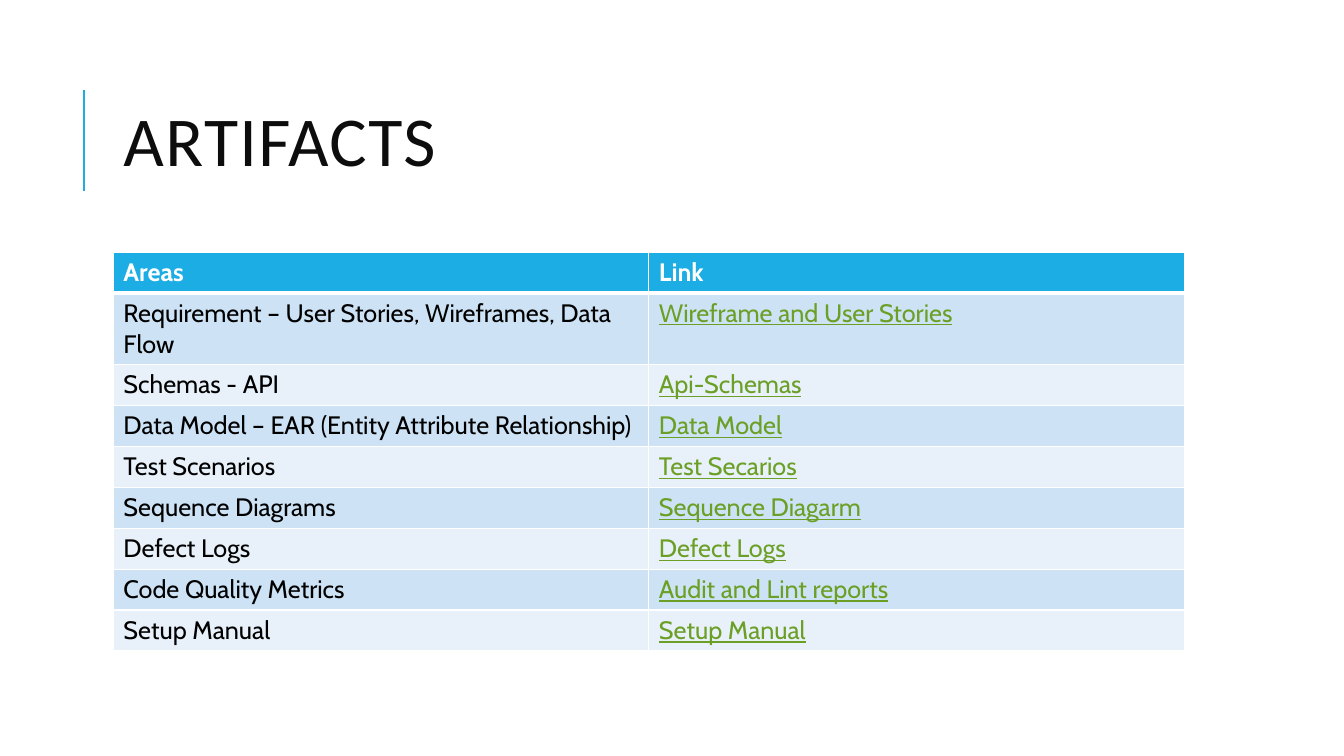
from lxml.etree import SubElement
from pptx import Presentation
from pptx.dml.color import RGBColor
from pptx.enum.shapes import MSO_CONNECTOR as Connector
from pptx.enum.text import MSO_ANCHOR as Anchor, MSO_AUTO_SIZE as AutoSize, PP_ALIGN as Align
from pptx.oxml.ns import qn
from pptx.util import Pt

PX = 9525  # EMU in one px, 96 px to the inch
COLORS = {
    "accent": "1CADE4", "title": "0D0D0D", "text": "000000", "link": "6B9F25",
    "white": "FFFFFF", "band_dark": "CDE3F5", "band_light": "E8F1FA",
}
HEADINGS = ("Areas", "Link")
ARTIFACTS = [
    ("Requirement – User Stories, Wireframes, Data Flow", "Wireframe and User Stories"),
    ("Schemas - API", "Api-Schemas"),
    ("Data Model – EAR (Entity Attribute Relationship)", "Data Model"),
    ("Test Scenarios", "Test Secarios"),
    ("Sequence Diagrams", "Sequence Diagarm"),
    ("Defect Logs", "Defect Logs"),
    ("Code Quality Metrics", "Audit and Lint reports"),
    ("Setup Manual", "Setup Manual"),
]


def px(*lengths):
    return [length * PX for length in lengths]


def rgb(name):
    return RGBColor.from_string(COLORS[name])


def add_run(paragraph, text, font, size, color, bold=False, underline=False):
    run = paragraph.add_run()
    run.text = text
    run.font.name, run.font.size = font, Pt(size)
    run.font.bold, run.font.underline = bold, underline
    run.font.color.rgb = rgb(color)
    return run


def add_title(slide, left, top, width, height):
    # Accent rule beside the title
    rule_x, rule_top = left - 28, top + 25
    rule = slide.shapes.add_connector(
        Connector.STRAIGHT, *px(rule_x, rule_top + 96, rule_x, rule_top))
    rule.line.color.rgb = rgb("accent")
    rule.line.width = Pt(1.5)
    SubElement(rule._element.spPr, qn("a:effectLst"))

    # Heading
    title = slide.shapes.title
    title.left, title.top, title.width, title.height = px(left, top, width, height)
    frame = title.text_frame
    frame.word_wrap, frame.auto_size = True, AutoSize.NONE
    frame.vertical_anchor = Anchor.MIDDLE
    heading = frame.paragraphs[0]
    heading.alignment, heading.line_spacing = Align.LEFT, 0.8
    run = add_run(heading, "ARTIFACTS", "Calibri", 50, "title")
    run.font._element.set("spc", "100")


def set_borders(cell, top=1, bottom=1):
    properties = cell._tc.get_or_add_tcPr()
    for side, points in (("L", 1), ("R", 1), ("T", top), ("B", bottom)):
        border = SubElement(properties, qn(f"a:ln{side}"), w=str(Pt(points)))
        fill = SubElement(border, qn("a:solidFill"))
        SubElement(fill, qn("a:srgbClr"), val=COLORS["white"])


def add_artifact_table(slide, left, top, width, row_height):
    rows = [HEADINGS, *ARTIFACTS]
    table = slide.shapes.add_table(
        len(rows), len(HEADINGS), *px(left, top, width, row_height * len(rows))).table
    for column in table.columns:
        column.width = width * PX // len(HEADINGS)
    for r, texts in enumerate(rows):
        table.rows[r].height = row_height * PX
        header = r == 0
        band = "accent" if header else "band_dark" if r % 2 else "band_light"
        for c, text in enumerate(texts):
            cell = table.cell(r, c)
            # A thick rule parts the header from the body
            set_borders(cell, top=3 if r == 1 else 1, bottom=3 if header else 1)
            cell.fill.solid()
            cell.fill.fore_color.rgb = rgb(band)
            color = "white" if header else ("text", "link")[c]
            add_run(cell.text_frame.paragraphs[0], text, "Cabin", 18, color,
                    bold=header, underline=color == "link")


def main():
    deck = Presentation()
    deck.slide_width, deck.slide_height = px(1280, 720)
    slide = deck.slides.add_slide(deck.slide_layouts[5])
    add_title(slide, 108, 61, 1020, 157)
    add_artifact_table(slide, 108, 240, 1020, 39)
    deck.save("out.pptx")


if __name__ == "__main__":
    main()
